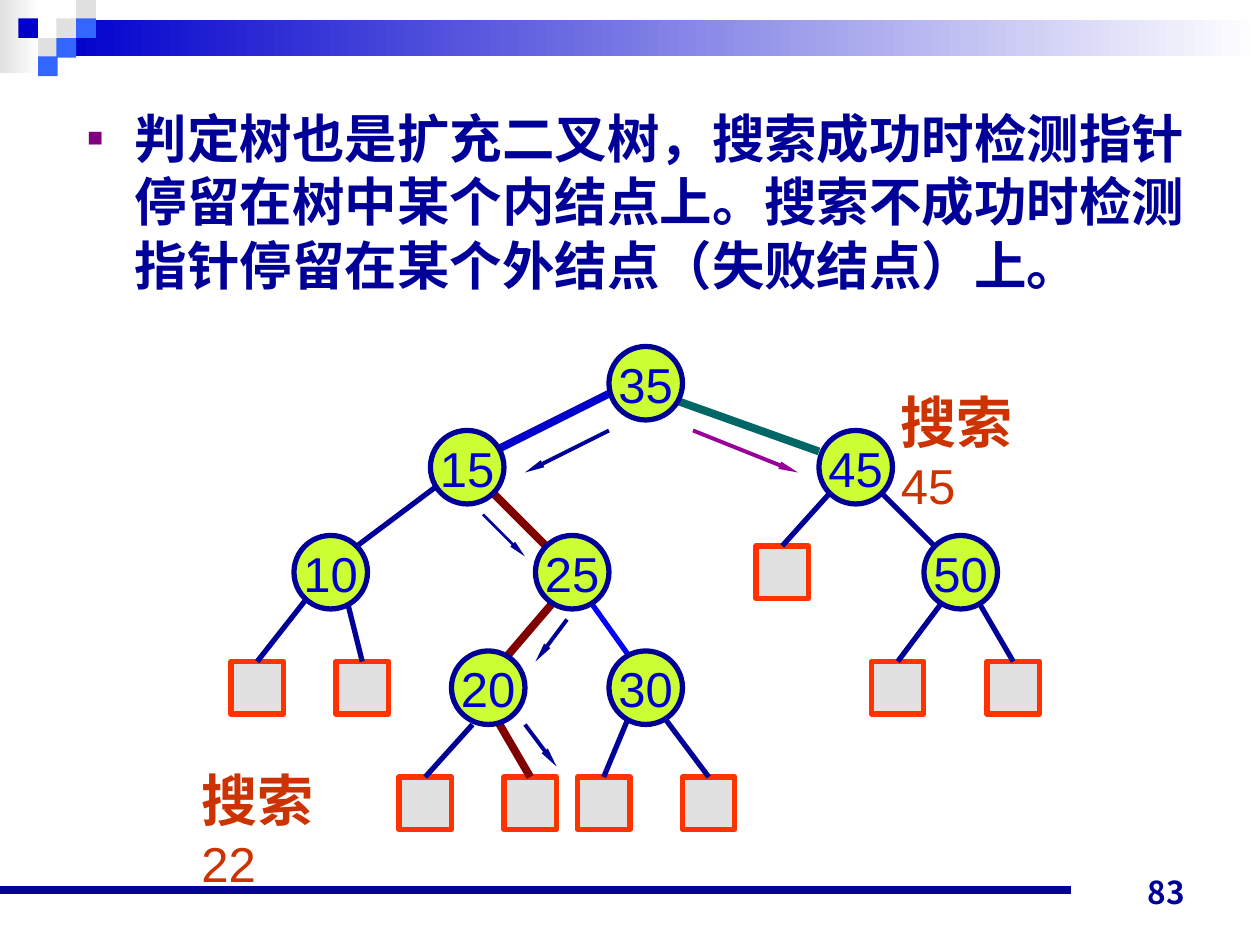
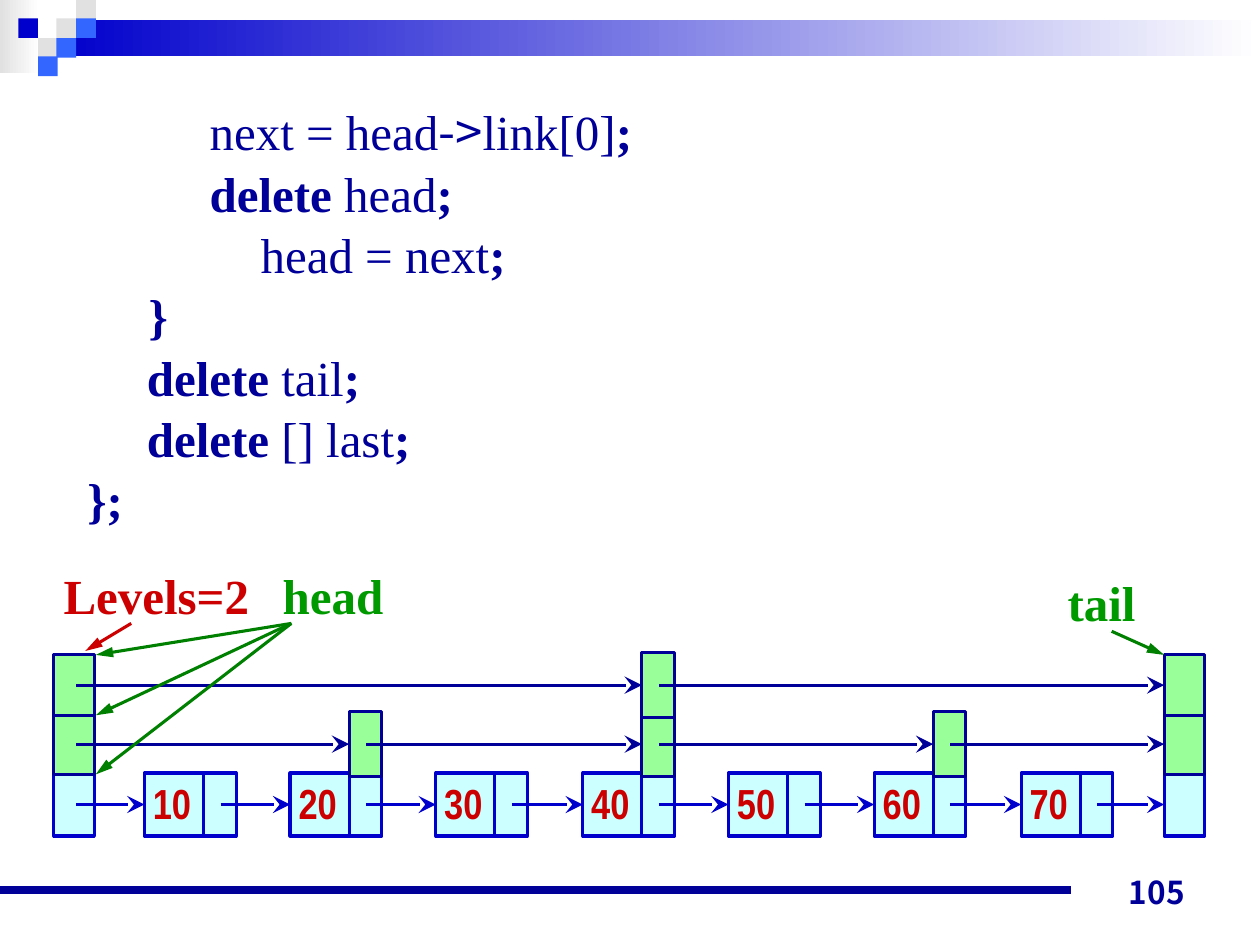
from dataclasses import dataclass
from itertools import count

from lxml import etree
from pptx import Presentation
from pptx import util as u
from pptx.dml.color import RGBColor
from pptx.enum import shapes, text
from pptx.oxml.ns import qn


@dataclass(frozen=True)
class Theme:
    """Colours, fonts and type sizes of both slides."""
    navy: str = "000099"
    blue: str = "0000CC"
    bright: str = "0000FF"
    sky: str = "3366FF"
    grey: str = "E1E1E1"
    white: str = "FFFFFF"
    purple: str = "800080"
    violet: str = "990099"
    maroon: str = "800000"
    teal: str = "006666"
    lime: str = "CCFF33"
    orange: str = "FF3300"
    rust: str = "CC3300"
    red: str = "CC0000"
    cyan: str = "CCFFFF"
    mint: str = "99FF99"
    green: str = "008000"
    label_green: str = "009900"
    sans: str = "Arial"
    narrow: str = "Arial Narrow"
    serif: str = "Times New Roman"
    chinese: str = "Noto Sans CJK SC"
    number_font: str = "Noto Sans CJK JP"
    body: int = 30
    search: int = 32
    code: int = 28
    value: int = 24
    page: int = 18
    line_factor: float = 1.21


THEME = Theme()
SLIM_HEAD = ("triangle", "sm", "lg")
LABEL_HEAD = ("triangle", "med", "lg")
LINK_HEAD = ("stealth", "lg", "lg")
NODE, LEAF = 56, 40

TREE_NODES = {"35": (464, 264), "15": (328, 328), "45": (624, 328), "50": (704, 408),
              "25": (408, 408), "10": (224, 408), "20": (344, 496), "30": (464, 496)}
TREE_EDGES = [
    ((472, 296), (376, 344), THEME.blue, 4.5),
    ((512, 304), (624, 344), THEME.teal, 4.5),
    ((336, 368), (272, 416), THEME.navy, 3),
    ((368, 368), (416, 416), THEME.maroon, 4.5),
    ((672, 376), (712, 416), THEME.navy, 3),
    ((424, 456), (376, 512), THEME.maroon, 4.5),
    ((448, 456), (488, 512), THEME.bright, 3),
]
LEAF_EDGES = [
    ((240, 448), (176, 504)), ((264, 456), (256, 504)),
    ((360, 552), (304, 592)), ((376, 544), (384, 592)),
    ((480, 544), (440, 592)), ((504, 544), (520, 592)),
    ((632, 376), (576, 416)), ((720, 456), (664, 504)),
    ((744, 456), (752, 504)),
]
FAILED_LEAF = (384, 592)
SEARCH_ARROWS = [
    ((464, 328), (400, 360), THEME.navy, 2.25),
    ((368, 392), (400, 424), THEME.navy, 1.5),
    ((432, 472), (408, 504), THEME.navy, 2.25),
    ((400, 552), (424, 584), THEME.navy, 2.25),
    ((528, 328), (608, 360), THEME.violet, 2.25),
]
CODE_LINES = [
    [("          ", True), ("next = head", False), ("->", False, THEME.chinese),
     ("link[0]", False), (";", True)],
    [("          delete ", True), ("head", False), (";", True)],
    [("\t\t", True), ("head = next", False), (";", True)],
    [("     }", True)],
    [("\t delete ", True), ("tail", False), (";", True)],
    [("\t delete ", True), ("[] last", False), (";", True)],
    [("};", True)],
]


def px(length):
    """Turn px (96 to the inch) into EMU."""
    return u.Emu(length * 9525)


def rgb(colour):
    """Return a colour object for a hex string."""
    return RGBColor.from_string(colour)


def add_box(slide, box, fill, line=None, width=0, kind=shapes.MSO_SHAPE.RECTANGLE):
    """Add a preset shape; a pair of fills makes a gradient."""
    shape = slide.shapes.add_shape(kind, *map(px, box))
    shape.shadow.inherit = False
    if isinstance(fill, tuple):
        shape.fill.gradient()
        shape.fill.gradient_angle = 0
        for stop, colour in zip(shape.fill.gradient_stops, fill):
            stop.color.rgb = rgb(colour)
    else:
        shape.fill.solid()
        shape.fill.fore_color.rgb = rgb(fill)
    if line:
        shape.line.color.rgb = rgb(line)
        shape.line.width = u.Pt(width)
    else:
        shape.line.fill.background()
    return shape


def add_line(slide, start, end, colour, width, head=None, target=None, site=1):
    """Add a straight line, with an arrowhead or a joined end if asked."""
    line = slide.shapes.add_connector(shapes.MSO_CONNECTOR.STRAIGHT,
                                      *map(px, start + end))
    line.line.color.rgb = rgb(colour)
    line.line.width = u.Pt(width)
    if head:
        kind, head_width, head_length = head
        etree.SubElement(line.line._get_or_add_ln(), qn("a:tailEnd"),
                         type=kind, w=head_width, len=head_length)
    etree.SubElement(line.element.spPr, qn("a:effectLst"))
    if target is not None:
        line.end_connect(target, site)
    return line


def style_paragraph(paragraph, font, size, colour, bold=False, line=None):
    """Set the font and the exact line height of a paragraph."""
    paragraph.line_spacing = u.Pt(line or round(size * THEME.line_factor))
    paragraph.space_before = u.Pt(0)
    paragraph.font.name = font
    paragraph.font.size = u.Pt(size)
    paragraph.font.bold = bold
    paragraph.font.color.rgb = rgb(colour)
    defaults = paragraph._p.get_or_add_pPr().find(qn("a:defRPr"))
    etree.SubElement(defaults, qn("a:ea"), typeface=THEME.chinese)


def add_label(slide, box, words, font, size, colour, bold=True):
    """Add a text box with one unwrapped line."""
    label = slide.shapes.add_textbox(*map(px, box))
    label.text_frame.word_wrap = False
    paragraph = label.text_frame.paragraphs[0]
    paragraph.text = words
    style_paragraph(paragraph, font, size, colour, bold)
    return label


def add_search_label(slide, left, top, key):
    """Add the word for search with its key below."""
    label = add_label(slide, (left, top, 146, 60), "搜索", THEME.serif,
                      THEME.search, THEME.rust)
    second = label.text_frame.add_paragraph()
    second.text = key
    style_paragraph(second, THEME.sans, THEME.code, THEME.rust)


def set_bullet(paragraph, square):
    """Give a paragraph a hanging indent, with a square bullet or none."""
    properties = paragraph._p.get_or_add_pPr()
    properties.set("marL", str(px(36)))
    properties.set("indent", str(px(-36)))
    properties.set("defTabSz", str(px(96)))
    if not square:
        etree.SubElement(properties, qn("a:buNone"))
        return
    colour = etree.SubElement(properties, qn("a:buClr"))
    etree.SubElement(colour, qn("a:srgbClr"), val=THEME.purple)
    etree.SubElement(properties, qn("a:buSzPct"), val="50000")
    etree.SubElement(properties, qn("a:buChar"), char="■")


def add_slide(presentation, number, body_box):
    """Add a numbered slide and return it with its body text frame."""
    slide = presentation.slides.add_slide(presentation.slide_layouts[1])
    title = slide.shapes.title.element
    title.getparent().remove(title)
    body = slide.placeholders[1]
    body.left, body.top, body.width, body.height = map(px, body_box)
    body.text_frame.auto_size = text.MSO_AUTO_SIZE.NONE
    body.text_frame.vertical_anchor = text.MSO_ANCHOR.TOP
    page = add_label(slide, (688, 651, 224, 48), number, THEME.number_font,
                     THEME.page, THEME.navy)
    page.text_frame.word_wrap = True
    page.text_frame.vertical_anchor = text.MSO_ANCHOR.BOTTOM
    page.text_frame.paragraphs[0].alignment = text.PP_ALIGN.RIGHT
    return slide, body.text_frame


def decorate_master(slide):
    """Draw the band, squares and footer line and move them to the master."""
    parts = [add_box(slide, (0, 0, 30, 56), (THEME.grey, THEME.white)),
             add_box(slide, (44, 15, 916, 28), (THEME.blue, THEME.white))]
    squares = [(43, 14, THEME.grey), (58, 0, THEME.grey), (58, 14, THEME.sky),
               (29, 29, THEME.grey), (14, 14, THEME.blue), (43, 29, THEME.sky),
               (29, 43, THEME.sky)]
    parts += [add_box(slide, (left, top, 15, 15), colour)
              for left, top, colour in squares]
    parts.append(add_line(slide, (0, 678), (816, 678), THEME.navy, 4.5))
    tree = slide.slide_layout.slide_master.shapes.element
    for number, part in zip(count(101), parts):
        part.element.xpath(".//p:cNvPr")[0].set("id", str(number))
        tree.append(part.element)


def draw_search_tree(slide):
    """Draw the decision tree with its search paths."""
    for start, end, colour, width in TREE_EDGES:
        add_line(slide, start, end, colour, width)
    for start, corner in LEAF_EDGES:
        leaf = add_box(slide, (*corner, LEAF, LEAF), THEME.grey, THEME.orange, 3)
        colour, width = (THEME.maroon, 4.5) if corner == FAILED_LEAF else (THEME.navy, 3)
        add_line(slide, start, corner, colour, width, target=leaf, site=0)
    for key, corner in TREE_NODES.items():
        node = add_box(slide, (*corner, NODE, NODE), THEME.lime, THEME.navy, 3,
                       shapes.MSO_SHAPE.OVAL)
        node.text_frame.word_wrap = False
        node.text_frame.vertical_anchor = text.MSO_ANCHOR.MIDDLE
        paragraph = node.text_frame.paragraphs[0]
        paragraph.text = key
        paragraph.alignment = text.PP_ALIGN.CENTER
        style_paragraph(paragraph, THEME.sans, THEME.code, THEME.blue)
    for start, end, colour, width in SEARCH_ARROWS:
        add_line(slide, start, end, colour, width, SLIM_HEAD)
    add_search_label(slide, 144, 578, "22")
    add_search_label(slide, 677, 290, "45")


def add_column(slide, left):
    """Add a head or tail column; return its cells from the lowest level up."""
    base = add_box(slide, (left, 589, 31, 48), THEME.cyan, THEME.blue, 1.75)
    return [base] + [add_box(slide, (left, top, 31, 46), THEME.mint, THEME.navy, 1.75)
                     for top in (544, 499)]


def draw_skip_list(slide):
    """Draw the skip list with its three chains of links."""
    lefts = [110 + index * 668 // 6 for index in range(7)]
    levels = [range(7), (1, 3, 5), (3,)]
    add_column(slide, 41)
    tail = add_column(slide, 887)
    boxes = {}
    for index, left in enumerate(lefts):
        boxes[0, index] = add_box(slide, (left, 589, 70, 48), THEME.cyan, THEME.blue, 1.75)
        add_line(slide, (left + 45, 589), (left + 45, 637), THEME.blue, 1.75)
        add_label(slide, (left - 3, 587, 64, 63), str(10 * (index + 1)),
                  THEME.narrow, THEME.value, THEME.red)
    for level in (1, 2):
        for index in levels[level]:
            boxes[level, index] = add_box(
                slide, (lefts[index] + 45, 587 - 45 * level, 25, 50),
                THEME.mint, THEME.navy, 1.75)
    for level, (members, middle) in enumerate(zip(levels, (613, 567, 522))):
        starts = [58] + [lefts[index] + 58 for index in members]
        targets = [boxes[level, index] for index in members] + [tail[level]]
        colour = THEME.navy if level else THEME.blue
        for start, target in zip(starts, targets):
            add_line(slide, (start, middle), (start, middle), colour, 1.75,
                     LINK_HEAD, target)


def draw_list_labels(slide):
    """Name the level count, head and tail and point at them."""
    for box, words, colour in [((39, 426, 176, 55), "Levels=2", THEME.red),
                               ((206, 426, 110, 55), "head", THEME.label_green),
                               ((804, 431, 84, 55), "tail", THEME.label_green)]:
        add_label(slide, box, words, THEME.serif, THEME.code, colour)
    add_line(slide, (100, 475), (65, 496), THEME.red, 1.75, LABEL_HEAD)
    for top in (499, 545, 590):
        add_line(slide, (222, 475), (73, top), THEME.green, 1.75, LABEL_HEAD)
    add_line(slide, (847, 481), (887, 499), THEME.green, 1.75, LABEL_HEAD)


def write_code(frame):
    """Write the code lines with bold keywords and punctuation."""
    for index, pieces in enumerate(CODE_LINES):
        paragraph = frame.add_paragraph() if index else frame.paragraphs[0]
        set_bullet(paragraph, square=False)
        style_paragraph(paragraph, THEME.serif, THEME.code, THEME.navy, True, 35)
        for words, bold, *font in pieces:
            run = paragraph.add_run()
            run.text = words
            if not bold:
                run.font.bold = False
            if font:
                run.font.name = font[0]


def main():
    """Build both slides and save them."""
    presentation = Presentation()
    presentation.slide_width, presentation.slide_height = px(960), px(720)

    slide, frame = add_slide(presentation, "83", (57, 75, 888, 167))
    decorate_master(slide)
    paragraph = frame.paragraphs[0]
    paragraph.text = ("判定树也是扩充二叉树，搜索成功时检测指针停留在树中某个内结点上。"
                      "搜索不成功时检测指针停留在某个外结点（失败结点）上。")
    set_bullet(paragraph, square=True)
    style_paragraph(paragraph, THEME.sans, THEME.body, THEME.navy, True, 36.5)
    draw_search_tree(slide)

    slide, frame = add_slide(presentation, "105", (57, 71, 864, 589))
    write_code(frame)
    draw_skip_list(slide)
    draw_list_labels(slide)
    presentation.save("out.pptx")


if __name__ == "__main__":
    main()
